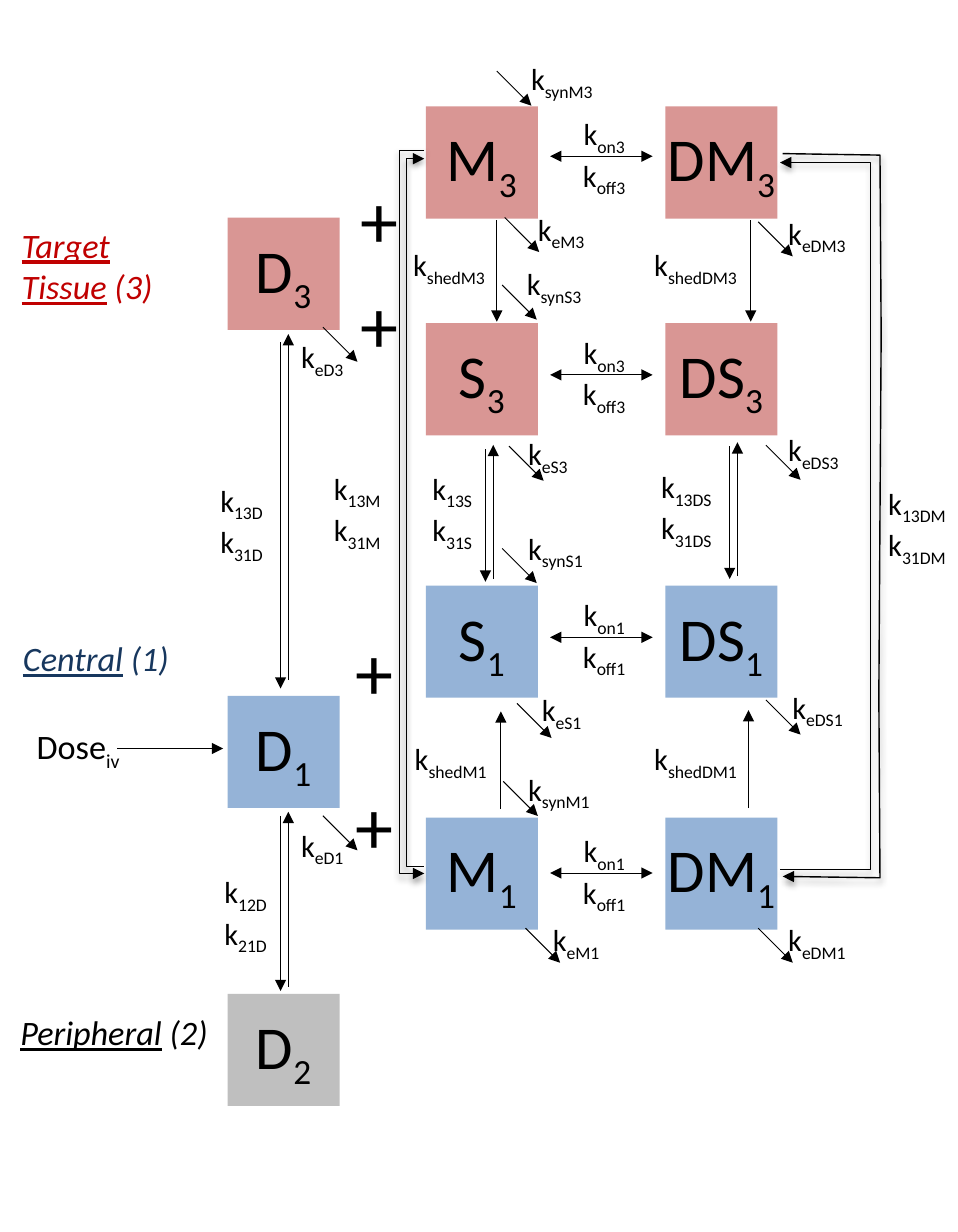
from lxml.etree import SubElement
from pptx import Presentation
from pptx.dml.color import RGBColor
from pptx.enum.shapes import MSO_CONNECTOR, MSO_SHAPE
from pptx.enum.text import MSO_ANCHOR, PP_ALIGN
from pptx.oxml.ns import qn
from pptx.util import Pt

BLACK, RED, BLUE, GRAY = "000000", "D99694", "95B3D7", "BFBFBF"
SIDE, DIAGONAL = 59, 18.2


def rgb(color):
    """Turn a hex string into a colour."""
    return RGBColor.from_string(color)


class Diagram:
    """Holds the style and the current slide."""

    font = "Calibri"

    def __init__(self, s):
        """Keep the slide."""
        self.s = s

    def fill_text(self, tf, lines, size, color=BLACK, align=PP_ALIGN.LEFT, title=False):
        """Set lines; '_' starts a subscript, '|' ends a title's underline."""
        for i, line in enumerate(lines):
            p = tf.add_paragraph() if i else tf.paragraphs[0]
            p.alignment = align
            p.font.name, p.font.size = self.font, Pt(size)
            p.font.color.rgb = rgb(color)
            head, _, tail = line.partition("|" if title else "_")
            r = p.add_run()
            r.text = head
            if title:
                p.font.italic = r.font.underline = True
            if tail:
                r = p.add_run()
                r.text = tail
                if not title:
                    r._r.get_or_add_rPr().set("baseline", "-25000")

    def box(self, x, y, text, fill):
        """Add a compartment square."""
        sp = self.s.shapes.add_shape(MSO_SHAPE.RECTANGLE, Pt(x), Pt(y), Pt(SIDE), Pt(SIDE))
        sp.shadow.inherit = False
        sp.fill.solid()
        sp.fill.fore_color.rgb = rgb(fill)
        sp.line.fill.background()
        tf = self.frame(sp, wrap=False)
        tf.vertical_anchor = MSO_ANCHOR.MIDDLE
        self.fill_text(tf, [text], 32, align=PP_ALIGN.CENTER)

    def frame(self, sp, wrap=True):
        """Return a text frame without insets."""
        tf = sp.text_frame
        tf.word_wrap = wrap
        tf.margin_left = tf.margin_right = tf.margin_top = tf.margin_bottom = 0
        return tf

    def label(self, x, y, *lines, w=52, size=16, align=PP_ALIGN.LEFT):
        """Add a text label."""
        h = len(lines) * size * 1.22
        sp = self.s.shapes.add_textbox(Pt(x), Pt(y), Pt(w), Pt(h))
        self.fill_text(self.frame(sp), lines, size, align=align)

    def title(self, x, y, w, color, *lines):
        """Add an underlined region title."""
        sp = self.s.shapes.add_textbox(Pt(x), Pt(y), Pt(w), Pt(7.2 + 22 * len(lines)))
        sp.text_frame.word_wrap = True
        self.fill_text(sp.text_frame, lines, 18, color, title=True)

    def ends(self, sp, width, *names):
        """Style a line and put arrowheads on the named ends."""
        sp.line.color.rgb = rgb(BLACK)
        sp.line.width = Pt(width)
        for name in names:
            SubElement(sp.line._get_or_add_ln(), qn("a:" + name), type="triangle")

    def arrow(self, x1, y1, x2, y2, *names):
        """Add a straight arrow."""
        sp = self.s.shapes.add_connector(MSO_CONNECTOR.STRAIGHT, Pt(x1), Pt(y1), Pt(x2), Pt(y2))
        self.ends(sp, 0.5, *(names or ["tailEnd"]))
        SubElement(sp._element.spPr, qn("a:effectLst"))

    def route(self, points, end):
        """Add a bent arrow with a soft shadow."""
        (x, y), *rest = [(Pt(a), Pt(b)) for a, b in points]
        fb = self.s.shapes.build_freeform(x, y)
        fb.add_line_segments(rest, close=False)
        sp = fb.convert_to_shape()
        sp.fill.background()
        self.ends(sp, 0.75, end)
        sp.shadow.inherit = False
        effects = sp._element.spPr.find(qn("a:effectLst"))
        shadow = SubElement(effects, qn("a:outerShdw"), blurRad=str(Pt(3.1)),
                            dist=str(Pt(1.8)), dir="5400000", rotWithShape="0")
        color = SubElement(shadow, qn("a:srgbClr"), val=BLACK)
        SubElement(color, qn("a:alpha"), val="35000")

    def exchange(self, name, x, y, line_x, top, bottom, up_top, up_bottom):
        """Add a pair of opposite arrows with their two rates."""
        self.label(x, y, "k_13" + name, "k_31" + name)
        self.pair(line_x, top, bottom, up_top, up_bottom)

    def pair(self, x, top, bottom, up_top, up_bottom):
        """Add a down arrow and an up arrow side by side."""
        self.arrow(x, top, x, bottom)
        self.arrow(x + 4.1, up_bottom, x + 4.1, up_top)


prs = Presentation()
prs.slide_width, prs.slide_height = Pt(504), Pt(648)
d = Diagram(prs.slides.add_slide(prs.slide_layouts[6]))

for name, y, region, fill, arrow_y in (("M", 56, 3, RED, 82.2), ("S", 170, 3, RED, 197.2),
                                       ("S", 308, 1, BLUE, 335.2), ("M", 430, 1, BLUE, 459.2)):
    d.box(224, y, f"{name}_{region}", fill)
    d.box(350, y, f"D{name}_{region}", fill)
    d.label(293.8, arrow_y - 21.5, f"k_on{region}", f"k_off{region}", w=48, align=PP_ALIGN.CENTER)
    d.arrow(289.4, arrow_y, 343.4, arrow_y, "headEnd", "tailEnd")

for region, y, fill in ((3, 114.5, RED), (1, 366, BLUE), (2, 522.7, GRAY)):
    d.box(119.7, y, f"D_{region}", fill)

for x, y in ((189.4, 90.7), (189.4, 146.2), (187.2, 328.3), (187.2, 409.7)):
    d.label(x, y, "+", w=25.2, size=40)

for name, x, y, from_x, from_y in (
        ("eD3", 158.4, 177.8, 169.9, 172.1), ("eD1", 158.4, 434.9, 169.9, 429.1),
        ("synM3", 279.4, 31.7, 261.4, 37.4), ("eM3", 283, 110.9, 265.5, 114.4),
        ("synS3", 277.2, 139.7, 264.2, 149.9), ("eS3", 277.9, 229, 267.8, 234.7),
        ("synS1", 277.9, 278.6, 264.2, 288.5), ("eS1", 285.1, 363.6, 272, 370),
        ("synM1", 277.9, 405.4, 264.8, 411), ("eM1", 290.9, 484.6, 276.5, 488.2),
        ("eDM3", 414.7, 113, 398.9, 116.7), ("eDS3", 414.7, 226.8, 403, 234.2),
        ("eDS1", 416.9, 362.2, 403, 368.2), ("eDM1", 414.7, 484.6, 398.9, 488.2)):
    d.label(x, y, "k_" + name)
    d.arrow(from_x, from_y, from_x + DIAGONAL, from_y + DIAGONAL)

for name, x, y, line_x, start, end in (
        ("M3", 217.4, 129.6, 261.4, 115.9, 169.2), ("DM3", 344.2, 129.6, 395, 115.9, 169.2),
        ("M1", 218.2, 389.5, 263.5, 425.5, 374.2), ("DM1", 344.2, 389.5, 393.8, 425, 373.5)):
    d.label(x, y, "k_shed" + name)
    d.arrow(line_x, start, line_x, end)

d.exchange("D", 115.9, 253.4, 147.6, 180, 362.2, 175.7, 357.8)
d.exchange("S", 227.5, 247, 255.4, 236.2, 306, 234, 304.6)
d.exchange("DS", 347.8, 246.2, 383.9, 234.7, 304.6, 232.6, 303.1)
d.label(118.1, 459.4, "k_12D", "k_21D")
d.pair(147.6, 429.1, 521.3, 427, 519.1)

d.label(175.7, 247, "k_13M", "k_31M")
d.route([(223.2, 83.5), (213.8, 83.5), (213.8, 455.8), (223.2, 455.8)], "headEnd")
d.route([(223.2, 79.2), (210.2, 79.2), (210.2, 459.4), (223.2, 459.4)], "tailEnd")
d.label(467.3, 254.9, "k_13DM", "k_31DM", w=40)
d.route([(410.4, 85.5), (457.9, 85.5), (457.9, 457.2), (410.4, 457.2)], "headEnd")
d.route([(411.8, 80.8), (463, 81.6), (463.6, 176), (463, 271.4), (462.4, 366), (463, 461.7),
         (411.8, 461)], "tailEnd")

d.label(15.1, 381.6, "Dose_iv", size=18, align=PP_ALIGN.CENTER)
d.arrow(61.7, 393.7, 117.4, 393.7)
d.title(4.3, 114.5, 144.7, "C00000", "Target", "Tissue| (3)")
d.title(5, 331.9, 137.5, "17375E", "Central| (1)")
d.title(3.6, 528.5, 162, BLACK, "Peripheral| (2)")

prs.save("out.pptx")
